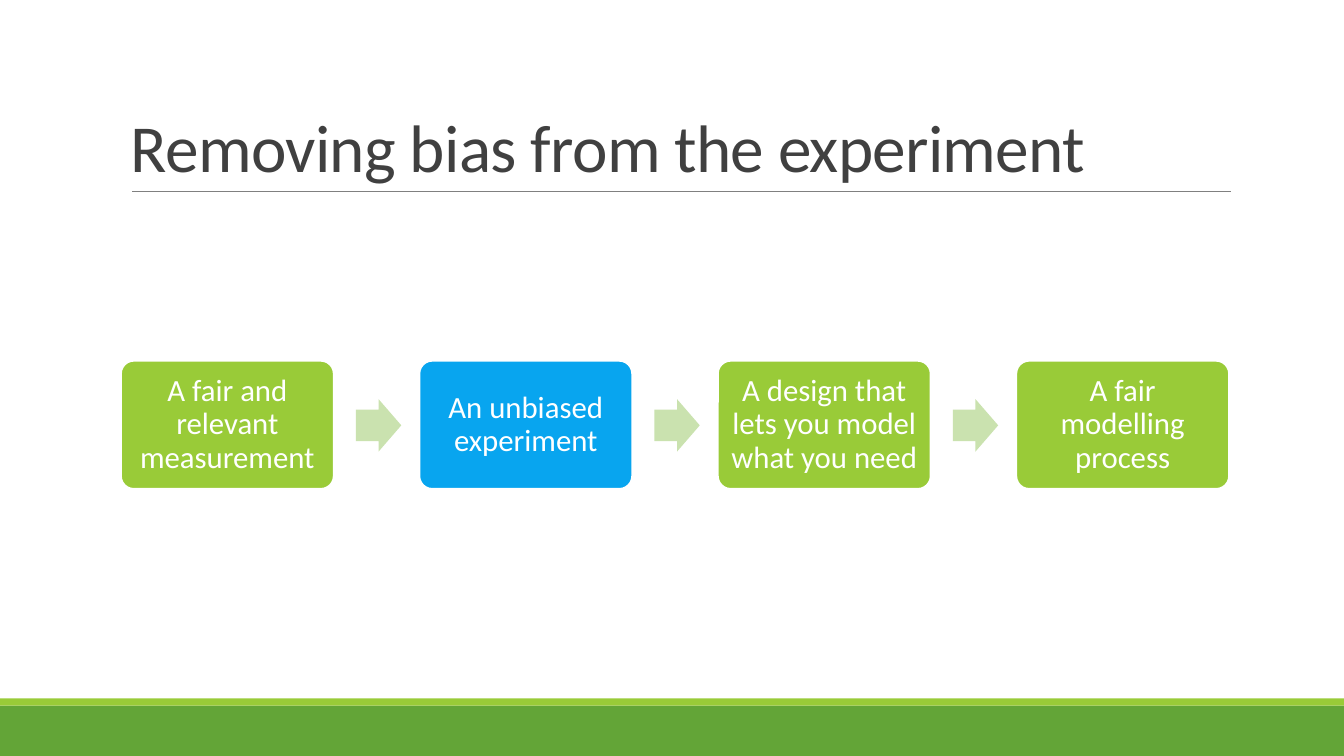
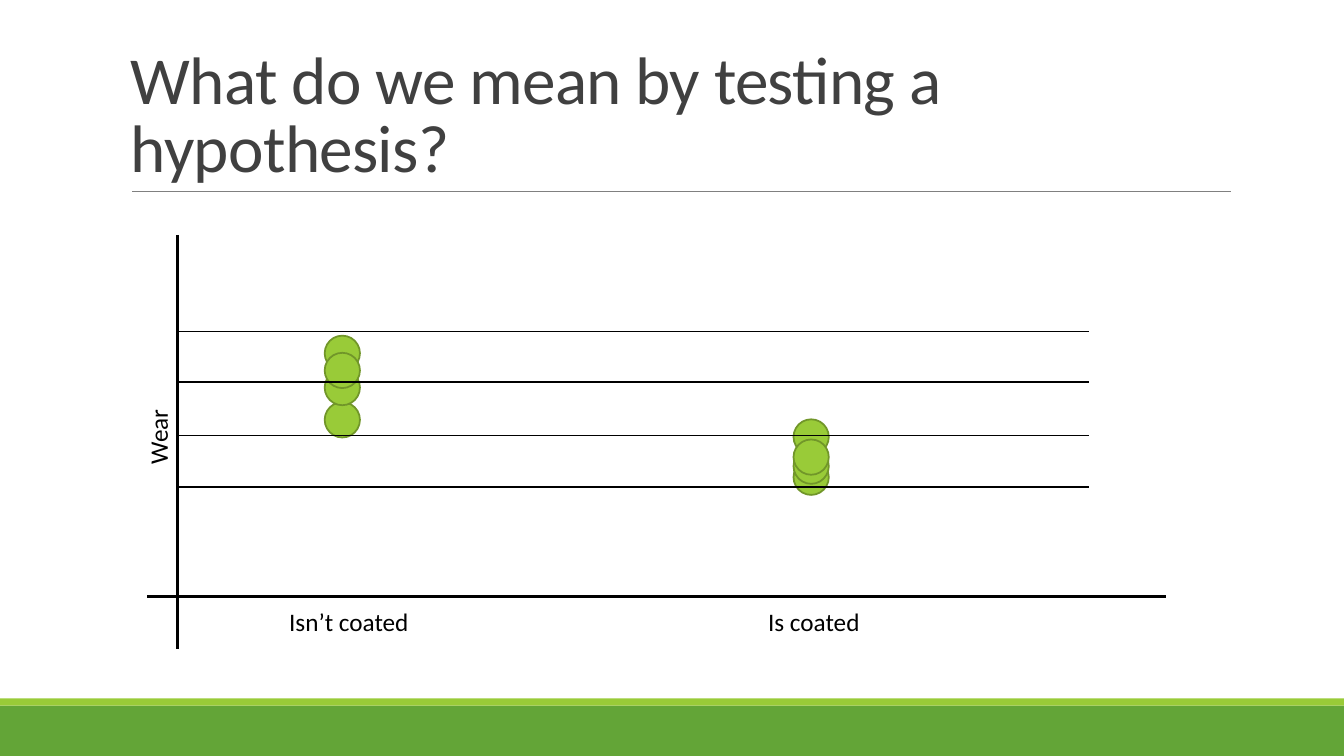
from lxml import etree
from pptx import Presentation
from pptx.dml.color import RGBColor
from pptx.enum.shapes import MSO_CONNECTOR, MSO_SHAPE
from pptx.enum.text import MSO_ANCHOR, PP_ALIGN
from pptx.oxml.ns import qn
from pptx.util import Inches, Pt

RECT, ROUND = MSO_SHAPE.RECTANGLE, MSO_SHAPE.ROUNDED_RECTANGLE
ARROW, OVAL = MSO_SHAPE.RIGHT_ARROW, MSO_SHAPE.OVAL
STRAIGHT = MSO_CONNECTOR.STRAIGHT
TOP, MIDDLE, BOTTOM = MSO_ANCHOR.TOP, MSO_ANCHOR.MIDDLE, MSO_ANCHOR.BOTTOM
LEFT, CENTER = PP_ALIGN.LEFT, PP_ALIGN.CENTER

COLORS = {
    "band": "63A537", "accent": "99CB38", "highlight": "08A5EF",
    "arrow": "CAE2AF", "dot_line": "719629", "rule": "808080",
    "title": "404040", "black": "000000", "white": "FFFFFF",
}


def rgb(name):
    return RGBColor.from_string(COLORS[name])


class Deck:
    font = "Calibri"

    def __init__(self):
        self.prs = Presentation()
        self.prs.slide_width, self.prs.slide_height = Inches(13.33), Inches(7.5)
        self.s = None

    def slide(self, title):
        self.s = self.prs.slides.add_slide(self.prs.slide_layouts[6])
        self.shape(RECT, 0, 7, 13.33, 0.5, "band")
        self.shape(RECT, 0, 6.93, 13.33, 0.07, "accent")
        self.line(1.31, 1.9, 12.21, 1.9, "rule", 0.5)
        tf = self.text(title, 1.2, 0.31, 11, 1.59, 48, "title", BOTTOM, spacing=0.85).text_frame
        tf.paragraphs[0].runs[0].font._element.set("spc", "-50")

    def shape(self, kind, x, y, w, h, fill, line=None, adjust=()):
        sp = self.s.shapes.add_shape(kind, Inches(x), Inches(y), Inches(w), Inches(h))
        sp.shadow.inherit = False
        sp.fill.solid()
        sp.fill.fore_color.rgb = rgb(fill)
        if line:
            sp.line.color.rgb = rgb(line)
            sp.line.width = Pt(1.25)
        else:
            sp.line.fill.background()
        for i, value in enumerate(adjust):
            sp.adjustments[i] = value
        return sp

    def line(self, x1, y1, x2, y2, color, width):
        cx = self.s.shapes.add_connector(STRAIGHT, Inches(x1), Inches(y1), Inches(x2), Inches(y2))
        cx.line.color.rgb = rgb(color)
        cx.line.width = Pt(width)
        etree.SubElement(cx._element.spPr, qn("a:effectLst"))

    def fill_text(self, sp, text, size, color, anchor, align, spacing):
        tf = sp.text_frame
        tf.vertical_anchor = anchor
        p = tf.paragraphs[0]
        p.text = text
        p.alignment = align
        p.line_spacing = spacing
        p.font.name, p.font.size = self.font, Pt(size)
        p.font.color.rgb = rgb(color)
        return tf

    def text(self, text, x, y, w, h, size, color, anchor=TOP, align=LEFT, spacing=1.0, wrap=True):
        sp = self.s.shapes.add_textbox(Inches(x), Inches(y), Inches(w), Inches(h))
        self.fill_text(sp, text, size, color, anchor, align, spacing).word_wrap = wrap
        return sp

    def step(self, text, x, y, w, h, fill):
        sp = self.shape(ROUND, x, y, w, h, fill, "white", (0.1,))
        tf = self.fill_text(sp, text, 22, "white", MIDDLE, CENTER, 0.9)
        tf.word_wrap = True
        tf.margin_left = tf.margin_right = Inches(0.09)
        tf.margin_top = tf.margin_bottom = Inches(0.09)

    def arrow(self, x, y):
        self.shape(ARROW, x, y, 0.45, 0.52, "arrow", adjust=(0.6, 0.5))

    def dots(self, x, tops):
        for y in tops:
            self.shape(OVAL, x, y, 0.35, 0.35, "accent", "dot_line")

    def label(self, text, x, y, w, rotation=0):
        self.text(text, x, y, w, 0.4, 18, "black", wrap=False).rotation = rotation


def bias_slide(deck):
    deck.slide("Removing bias from the experiment")
    steps = [
        ("A fair and relevant measurement", "accent"),
        ("An unbiased experiment", "highlight"),
        ("A design that lets you model what you need", "accent"),
        ("A fair modelling process", "accent"),
    ]
    for i, (text, fill) in enumerate(steps):
        x = 1.2 + i * 2.96
        if i:
            deck.arrow(x - 0.63, 3.96)
        deck.step(text, x, 3.58, 2.11, 1.27, fill)


def hypothesis_slide(deck):
    deck.slide("What do we mean by testing a hypothesis?")
    deck.line(1.76, 2.33, 1.76, 6.44, "black", 2.25)
    deck.line(11.56, 5.92, 1.46, 5.92, "black", 2.25)
    deck.dots(3.22, [3.99, 3.67, 3.33, 3.5])
    deck.label("Isn’t coated", 2.77, 5.97, 1.4)
    deck.label("Wear", 1.19, 4.13, 0.75, 270)
    deck.label("Is coated", 7.52, 5.97, 1.12)
    deck.dots(7.87, [4.56, 4.16, 4.45, 4.36])
    for y in (3.29, 3.79, 4.32, 4.83):
        deck.line(10.8, y, 1.77, y, "black", 1)


def main():
    deck = Deck()
    bias_slide(deck)
    hypothesis_slide(deck)
    deck.prs.save("out.pptx")


if __name__ == "__main__":
    main()
